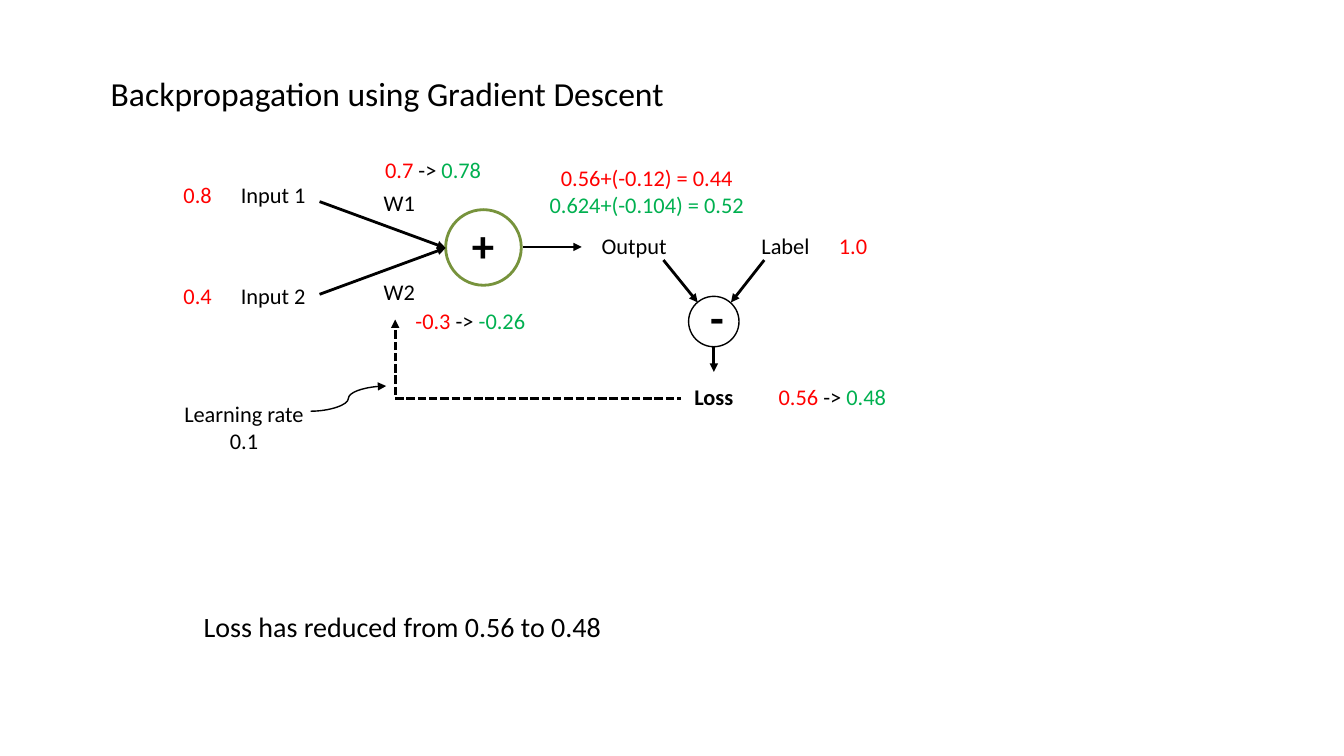
from lxml import etree
from pptx import Presentation
from pptx.dml.color import RGBColor
from pptx.enum.dml import MSO_LINE
from pptx.enum.shapes import MSO_CONNECTOR, MSO_SHAPE
from pptx.enum.text import PP_ALIGN
from pptx.oxml.ns import qn
from pptx.util import Inches, Pt

LEFT, CENTER = PP_ALIGN.LEFT, PP_ALIGN.CENTER
STRAIGHT, CURVE = MSO_CONNECTOR.STRAIGHT, MSO_CONNECTOR.CURVE
OVAL = MSO_SHAPE.OVAL
DASH = MSO_LINE.SQUARE_DOT

FONT = "Calibri"
COLORS = {"black": "000000", "before": "FF0000", "after": "00B050", "neuron": "77933C"}
LINE_HEIGHT = 0.37

HEADINGS = [
    ("Backpropagation using Gradient Descent", (1, 0.67, 5.74, 0.5), 24),
    ("Loss has reduced from 0.56 to 0.48", (1.92, 6, 6.25, 0.44), 20),
]

INPUTS = [("Input 1", "0.8", 1.75), ("Input 2", "0.4", 2.75)]

LABELS = [
    ("Output", 5.75, 2.25, 1.08, "black", False),
    ("Label", 7.25, 2.25, 1.08, "black", False),
    ("1.0", 8.17, 2.25, 0.58, "before", False),
    ("W1", 3.67, 1.83, 0.58, "black", False),
    ("W2", 3.67, 2.71, 0.58, "black", False),
    ("Loss", 6.54, 3.75, 1.08, "black", True),
]

UPDATES = [
    ("0.7", "0.78", 3.67, 1.5, 1.25),
    ("-0.3", "-0.26", 4, 3, 1.33),
    ("0.56", "0.48", 7.42, 3.75, 1.67),
]

TWO_LINE_LABELS = [
    ([("0.56+(-0.12) = 0.44", "before"), ("0.624+(-0.104) = 0.52", "after")],
     (5.25, 1.58, 2.33, 0.64)),
    ([("Learning rate", "black"), ("0.1", "black")], (1.67, 3.92, 1.5, 0.64)),
]

OPERATORS = [
    ("+", (4.42, 2.08, 0.75, 0.75), "neuron", 2, (4.5, 2.11, 0.58, 0.64)),
    ("-", (6.83, 2.94, 0.5, 0.5), "black", 1, (6.9, 2.83, 0.42, 0.64)),
]

ARROWS = [
    ((3.17, 2), (4.42, 2.46)),
    ((3.17, 2.92), (4.42, 2.46)),
    ((5.19, 2.45), (5.77, 2.45)),
    ((6.58, 2.58), (6.92, 3)),
    ((7.58, 2.58), (7.25, 3)),
    ((7.08, 3.44), (7.08, 3.69)),
]
FEEDBACK_LINE = ((3.92, 3.95), (6.75, 3.95))
FEEDBACK_ARROW = ((3.92, 3.92), (3.92, 3.17))
LEARNING_RATE_ARROW = ((3.08, 4.08), (3.83, 3.83))


def rgb(name):
    return RGBColor.from_string(COLORS[name])


def add_text(slide, paragraphs, box, size=16, bold=False, align=CENTER):
    shape = slide.shapes.add_textbox(*map(Inches, box))
    frame = shape.text_frame
    frame.word_wrap = True
    for index, runs in enumerate(paragraphs):
        paragraph = frame.add_paragraph() if index else frame.paragraphs[0]
        paragraph.alignment = align
        for text, color in runs:
            run = paragraph.add_run()
            run.text = text
            run.font.name = FONT
            run.font.size = Pt(size)
            run.font.bold = bold
            run.font.color.rgb = rgb(color)


def add_circle(slide, box, color, width):
    shape = slide.shapes.add_shape(OVAL, *map(Inches, box))
    shape.shadow.inherit = False
    shape.fill.background()
    shape.line.color.rgb = rgb(color)
    shape.line.width = Pt(width)


def add_line(slide, points, kind=STRAIGHT, width=2, dash=None, arrow=True):
    start, end = points
    connector = slide.shapes.add_connector(kind, *map(Inches, start + end))
    connector.line.color.rgb = rgb("black")
    connector.line.width = Pt(width)
    if dash:
        connector.line.dash_style = dash
    if arrow:
        etree.SubElement(connector.line._get_or_add_ln(), qn("a:tailEnd"), type="triangle")
    etree.SubElement(connector._element.spPr, qn("a:effectLst"))


def main():
    presentation = Presentation()
    presentation.slide_width = Inches(13.33)
    presentation.slide_height = Inches(7.5)
    slide = presentation.slides.add_slide(presentation.slide_layouts[6])

    for text, box, size in HEADINGS:
        add_text(slide, [[(text, "black")]], box, size=size, align=LEFT)

    for operator, circle, color, width, box in OPERATORS:
        add_circle(slide, circle, color, width)
        add_text(slide, [[(operator, "black")]], box, size=32, bold=True)

    for points in ARROWS:
        add_line(slide, points)
    add_line(slide, FEEDBACK_ARROW, dash=DASH)
    add_line(slide, FEEDBACK_LINE, dash=DASH, arrow=False)
    add_line(slide, LEARNING_RATE_ARROW, kind=CURVE, width=1)

    for name, value, top in INPUTS:
        add_text(slide, [[(name, "black")]], (2.17, top, 1.08, LINE_HEIGHT))
        add_text(slide, [[(value, "before")]], (1.67, top, 0.58, LINE_HEIGHT))

    for text, left, top, width, color, bold in LABELS:
        add_text(slide, [[(text, color)]], (left, top, width, LINE_HEIGHT), bold=bold)

    for before, after, left, top, width in UPDATES:
        runs = [(before + " ", "before"), ("-> ", "black"), (after, "after")]
        add_text(slide, [runs], (left, top, width, LINE_HEIGHT))

    for lines, box in TWO_LINE_LABELS:
        add_text(slide, [[line] for line in lines], box)

    presentation.save("out.pptx")


if __name__ == "__main__":
    main()
